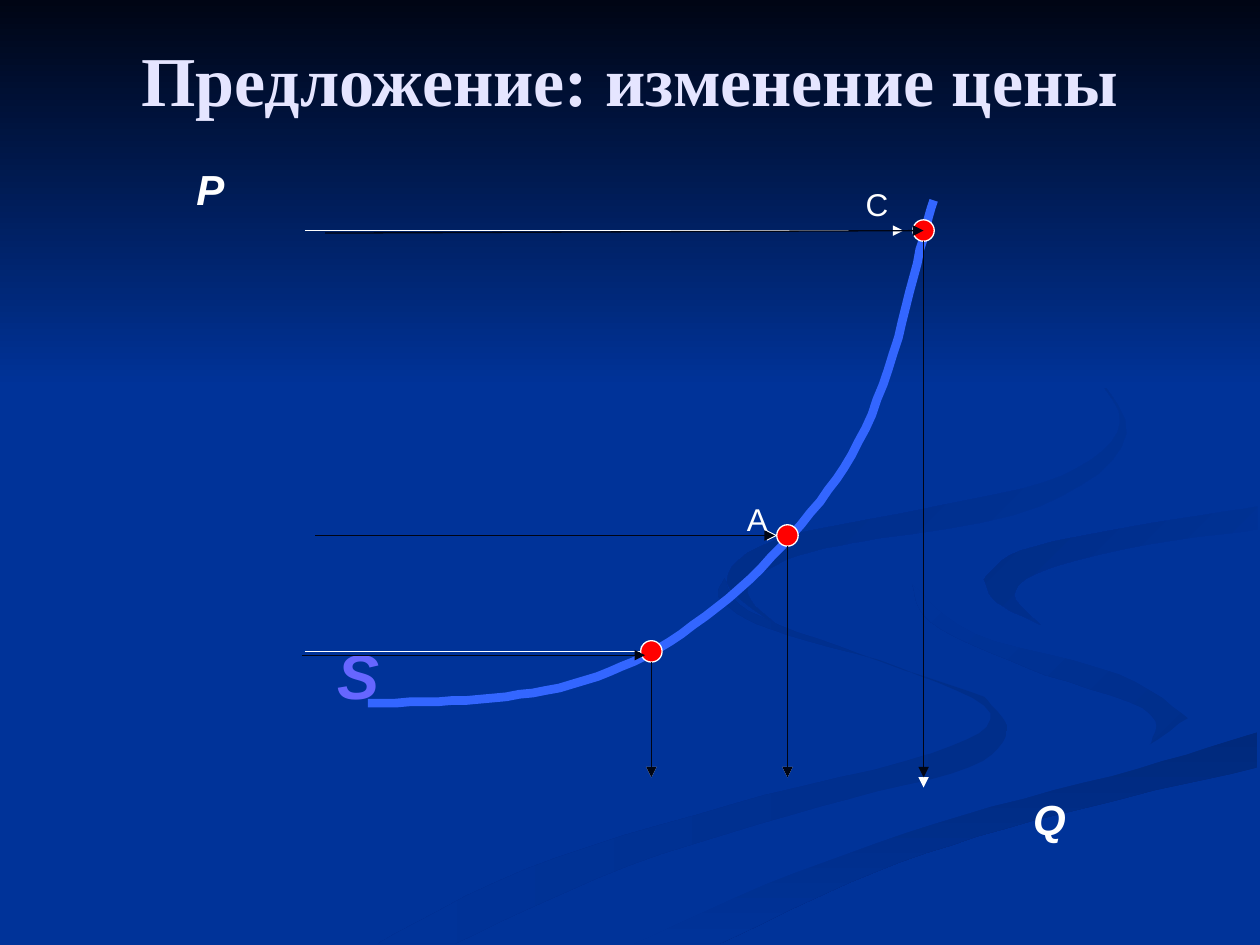
from dataclasses import dataclass

from lxml import etree
from pptx import Presentation
from pptx.dml.color import RGBColor
from pptx.enum.shapes import MSO_CONNECTOR, MSO_SHAPE
from pptx.enum.text import MSO_ANCHOR, PP_ALIGN
from pptx.oxml.ns import qn
from pptx.util import Emu, Pt

PX = 9144  # EMU in one px, 100 px to the inch
STRAIGHT = MSO_CONNECTOR.STRAIGHT
DOT = MSO_SHAPE.FLOWCHART_CONNECTOR
CENTER = PP_ALIGN.CENTER
TOP, MIDDLE = MSO_ANCHOR.TOP, MSO_ANCHOR.MIDDLE

COLORS = {
    "blue": "003399", "night": "000514", "white": "FFFFFF", "title": "E5E5FF",
    "curve": "3366FF", "dot": "FF0000", "supply": "6666FF",
    "shade1": "002E8A", "shade2": "00297C", "shade3": "002C85", "shade4": "002B81",
}
Point = tuple[float, float]
Edge = list[Point]


@dataclass
class Ribbon:
    """A gradient area bounded by smooth edges that meet in corners."""
    start: str
    end: str
    angle: int  # clockwise
    edges: list[Edge]


@dataclass
class Label:
    text: str
    left: int
    top: int
    width: int
    height: int
    size: int
    color: str = "white"
    strong: bool = True
    italic: bool = True
    font: str = "Arial"
    anchor: MSO_ANCHOR = TOP
    before: float = 0


@dataclass
class Arrow:
    start: Point
    end: Point
    color: str


# Edges shared by neighbouring ribbons
BEND = [(943, 570), (888, 535), (774, 503), (724, 464)]
STREAM = [(998, 581), (903, 610), (764, 647), (630, 693), (503, 749)]
BANK = [(998, 402), (898, 418), (810, 437), (781, 460)]

RIBBONS = [
    Ribbon("shade1", "blue", 180, [
        [(781, 553), (682, 519), (594, 485), (575, 459)],
        [(575, 459), (572, 476), (611, 499), (714, 530), (786, 566), (739, 598), (579, 639),
         (417, 690), (300, 749)],
        [(361, 749), (499, 687), (651, 640), (769, 609), (799, 580), (781, 553)]]),
    Ribbon("shade1", "blue", 225, [
        BEND,
        [(724, 464), (739, 494), (815, 530), (907, 562), (914, 589), (894, 605)],
        [(894, 605), (932, 589), (943, 570)]]),
    Ribbon("shade2", "blue", 90, [
        STREAM, [(571, 749), (695, 692), (821, 651), (998, 609)]]),
    Ribbon("blue", "blue", 0, [
        BEND[::-1], [(943, 570), (869, 611), (663, 668), (477, 749)],
        STREAM[::-1], [(999, 538), (904, 519), (804, 485), (781, 460)],
        BANK[::-1], [(999, 387), (874, 408), (755, 432), (724, 464)]]),
    Ribbon("blue", "shade3", 225, [
        BANK, [(781, 460), (791, 478), (826, 496)],
        [(826, 496), (805, 472), (828, 453), (896, 435), (998, 420)]]),
    Ribbon("blue", "shade4", 225, [
        [(683, 430), (825, 402), (894, 344), (843, 275), (762, 233)],
        [(762, 233), (846, 279), (889, 335), (842, 378), (733, 404), (615, 429), (577, 462),
         (622, 500)],
        [(622, 500), (593, 470), (624, 444), (683, 430)]]),
    Ribbon("night", "blue", 90, [[(0, 0), (0, 308)], [(1000, 308), (1000, 0)]]),
]
# Knots and handles of the cubic supply curve
SUPPLY = [(292, 558), (366, 557), (440, 556), (503, 525), (567, 493), (630, 432), (670, 371),
          (710, 310), (729, 194), (741, 159)]
LOW, MID, HIGH = DOTS = [(517, 517), (625, 425), (733, 183)]
DOT_SIZE = 17
AXIS = 617  # where the arrows down end
LABELS = [
    Label("Предложение: изменение цены", 50, 0, 900, 125, 40, "title", italic=False,
          font="Times New Roman", anchor=MIDDLE),
    Label("P", 142, 125, 50, 50, 24, before=15),
    Label("Q", 808, 625, 50, 50, 24, before=15),
    Label("A", 583, 392, 33, 40, 18, strong=False, italic=False, before=11.2),
    Label("C", 675, 142, 42, 40, 18, strong=False, italic=False, before=11.2),
    Label("S", 258, 500, 42, 70, 36, "supply", before=22.5),
]
WHITE_ARROWS = [
    Arrow((242, 517), LOW, "white"),
    Arrow((250, 425), (617, 425), "white"),
    Arrow((242, 183), (717, 183), "white"),
    *(Arrow(dot, (dot[0], AXIS + 8 * (dot == HIGH)), "white") for dot in DOTS),
]
DARK_ARROWS = [
    Arrow((258, 185), HIGH, "night"),
    Arrow((250, 425), (615, 425), "night"),
    Arrow((240, 520), (512, 520), "night"),
    *(Arrow((x, y + 8), (x, AXIS), "night") for x, y in DOTS),
]


def rgb(name: str) -> RGBColor:
    return RGBColor.from_string(COLORS[name])


def bezier_points(knots: Edge, steps: int) -> Edge:
    """Sample a chain of cubic Bezier pieces."""
    points = [knots[0]]
    for first in range(0, len(knots) - 1, 3):
        piece = knots[first:first + 4]
        for step in range(1, steps + 1):
            t = step / steps
            weights = ((1 - t) ** 3, 3 * t * (1 - t) ** 2, 3 * t * t * (1 - t), t ** 3)
            points.append(tuple(sum(w * knot[axis] for w, knot in zip(weights, piece))
                                for axis in (0, 1)))
    return points


def smooth(edge: Edge) -> Edge:
    """Run a Catmull-Rom curve through the points of an edge."""
    padded = [edge[0], *edge, edge[-1]]
    knots = [edge[0]]
    for before, start, end, after in zip(padded, padded[1:], padded[2:], padded[3:]):
        knots.append(tuple(s + (e - b) / 6 for b, s, e in zip(before, start, end)))
        knots.append(tuple(e - (a - s) / 6 for s, e, a in zip(start, end, after)))
        knots.append(end)
    return bezier_points(knots, 6)


def add_outline(page, points: Edge, close: bool):
    builder = page.shapes.build_freeform(*points[0], scale=PX)
    builder.add_line_segments(points[1:], close=close)
    shape = builder.convert_to_shape()
    shape.shadow.inherit = False
    return shape


def add_ribbon(page, ribbon: Ribbon) -> None:
    shape = add_outline(page, [point for edge in ribbon.edges for point in smooth(edge)], True)
    shape.line.fill.background()
    if ribbon.start == ribbon.end:
        shape.fill.solid()
        shape.fill.fore_color.rgb = rgb(ribbon.start)
        return
    shape.fill.gradient()
    shape.fill.gradient_angle = 360 - ribbon.angle
    for stop, color in zip(shape.fill.gradient_stops, (ribbon.start, ribbon.end)):
        stop.color.rgb = rgb(color)


def add_curve(page) -> None:
    curve = add_outline(page, bezier_points(SUPPLY, 20), False)
    curve.fill.background()
    curve.line.color.rgb = rgb("curve")
    curve.line.width = Pt(5)


def add_arrow(page, arrow: Arrow) -> None:
    ends = [Emu(value * PX) for value in (*arrow.start, *arrow.end)]
    line = page.shapes.add_connector(STRAIGHT, *ends)
    line.line.color.rgb = rgb(arrow.color)
    line.line.width = Pt(0.75)
    etree.SubElement(line.line._get_or_add_ln(), qn("a:tailEnd"), type="triangle")
    etree.SubElement(line._element.spPr, qn("a:effectLst"))


def add_dot(page, center: Point) -> None:
    left, top = (Emu(round((value - DOT_SIZE / 2) * PX)) for value in center)
    dot = page.shapes.add_shape(DOT, left, top, Emu(DOT_SIZE * PX), Emu(DOT_SIZE * PX))
    dot.shadow.inherit = False
    dot.fill.solid()
    dot.fill.fore_color.rgb = rgb("dot")
    dot.line.color.rgb = rgb("white")
    dot.line.width = Pt(0.75)


def add_label(page, label: Label) -> None:
    place = (label.left, label.top, label.width, label.height)
    frame = page.shapes.add_textbox(*(Emu(value * PX) for value in place)).text_frame
    frame.word_wrap = True
    frame.vertical_anchor = label.anchor
    para = frame.paragraphs[0]
    para.alignment = CENTER
    para.space_before = Pt(label.before)
    span = para.add_run()
    span.text = label.text
    span.font.name = label.font
    span.font.size = Pt(label.size)
    span.font.bold = label.strong
    span.font.italic = label.italic
    span.font.color.rgb = rgb(label.color)


def main() -> None:
    deck = Presentation()
    deck.slide_width, deck.slide_height = Emu(1000 * PX), Emu(750 * PX)
    page = deck.slides.add_slide(deck.slide_layouts[6])
    page.background.fill.solid()
    page.background.fill.fore_color.rgb = rgb("blue")
    for ribbon in RIBBONS:
        add_ribbon(page, ribbon)
    for arrow in WHITE_ARROWS:
        add_arrow(page, arrow)
    add_curve(page)
    for center in DOTS:
        add_dot(page, center)
    for label in LABELS:
        add_label(page, label)
    for arrow in DARK_ARROWS:
        add_arrow(page, arrow)
    deck.save("out.pptx")


if __name__ == "__main__":
    main()
